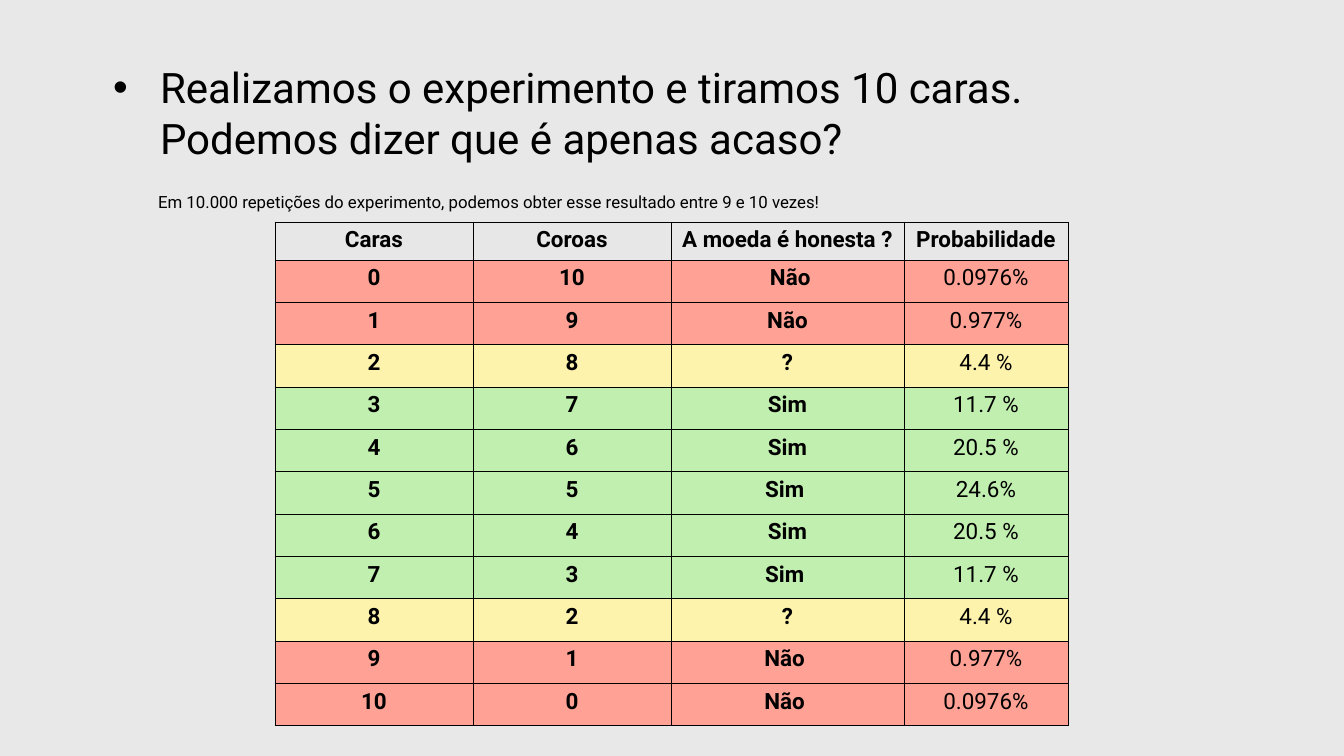
from lxml.etree import SubElement
from pptx import Presentation
from pptx.dml.color import RGBColor
from pptx.enum.shapes import MSO_SHAPE
from pptx.enum.text import MSO_ANCHOR, PP_ALIGN
from pptx.oxml import parse_xml
from pptx.oxml.ns import nsdecls, qn
from pptx.util import Pt

EMU_PER_PX = 914400 / 50.4
FONT = "Roboto"
BLACK = RGBColor(0x00, 0x00, 0x00)
BACKDROP = RGBColor(0xE8, 0xE8, 0xE8)
HEADER = RGBColor(0xE7, 0xE7, 0xE7)
RED = RGBColor(0xFF, 0xA2, 0x95)
YELLOW = RGBColor(0xFD, 0xF3, 0xAD)
GREEN = RGBColor(0xC0, 0xEF, 0xAF)

COLUMN_WIDTHS = (198, 198, 233, 164)
HEADER_HEIGHT = 38
BODY_HEIGHT = 466
HEADINGS = ("Caras", "Coroas", "A moeda é honesta ?", "Probabilidade")
# Verdict, probability and colour for 0 to 10 heads
OUTCOMES = (
    (" Não", "0.0976%", RED),
    (" Não ", "0.977%", RED),
    ("?", "4.4 %", YELLOW),
    ("Sim", "11.7 %", GREEN),
    ("Sim", "20.5 %", GREEN),
    ("Sim ", "24.6%", GREEN),
    ("Sim", "20.5 %", GREEN),
    ("Sim ", "11.7 %", GREEN),
    ("?", "4.4 %", YELLOW),
    ("Não ", "0.977%", RED),
    ("Não ", "0.0976%", RED),
)


def px(length):
    return round(length * EMU_PER_PX)


def add_run(paragraph, text, size, bold=False):
    run = paragraph.add_run()
    run.text = text
    run.font.name = FONT
    run.font.size = Pt(size)
    run.font.bold = bold
    run.font.color.rgb = BLACK


def indent(paragraph, left, first=0):
    properties = paragraph._p.get_or_add_pPr()
    properties.set("marL", str(px(left)))
    properties.set("indent", str(px(first)))
    return properties


def add_backdrop(slide):
    backdrop = slide.shapes.add_shape(
        MSO_SHAPE.RECTANGLE, px(-2), px(-2), px(1383), px(769))
    backdrop.shadow.inherit = False
    backdrop.fill.solid()
    backdrop.fill.fore_color.rgb = BACKDROP
    backdrop.line.fill.background()


def add_question(slide):
    frame = slide.shapes.add_textbox(px(110), px(59), px(1066), px(158)).text_frame
    frame.word_wrap = True
    frame.margin_left = frame.margin_right = px(3)
    frame.margin_top = frame.margin_bottom = px(3)

    # Bulleted question
    question = frame.paragraphs[0]
    properties = indent(question, 47, -47)
    SubElement(properties, qn("a:buFont"), typeface="Arial")
    SubElement(properties, qn("a:buChar"), char="•")
    add_run(question, "Realizamos o experimento e tiramos 10 caras. "
                      "Podemos dizer que é apenas acaso?", 60)

    # Remark under it
    remark = frame.add_paragraph()
    indent(remark, 45)
    remark.space_before = Pt(41)
    add_run(remark, "Em 10.000 repetições do experimento, podemos obter "
                    "esse resultado entre 9 e 10 vezes!", 24)


def add_borders(cell):
    properties = cell._tc.get_or_add_tcPr()
    for position, side in enumerate(("lnL", "lnR", "lnT", "lnB")):
        properties.insert(position, parse_xml(
            f'<a:{side} {nsdecls("a")} w="{Pt(1)}"><a:solidFill>'
            f'<a:srgbClr val="{BLACK}"/></a:solidFill></a:{side}>'))


def fill_cell(cell, text, color, bold):
    cell.margin_left = cell.margin_right = px(5)
    cell.margin_top = cell.margin_bottom = px(5)
    cell.vertical_anchor = MSO_ANCHOR.TOP
    cell.fill.solid()
    cell.fill.fore_color.rgb = color
    add_borders(cell)
    paragraph = cell.text_frame.paragraphs[0]
    paragraph.alignment = PP_ALIGN.CENTER
    add_run(paragraph, text, 32, bold)


def add_probability_table(slide):
    tosses = len(OUTCOMES) - 1
    table = slide.shapes.add_table(
        len(OUTCOMES) + 1, len(HEADINGS), px(275), px(222),
        px(sum(COLUMN_WIDTHS)), px(HEADER_HEIGHT + BODY_HEIGHT)).table
    table.first_row = table.horz_banding = False
    for column, width in zip(table.columns, COLUMN_WIDTHS):
        column.width = px(width)
    for row in table.rows:
        row.height = px(BODY_HEIGHT / len(OUTCOMES))
    table.rows[0].height = px(HEADER_HEIGHT)

    # Header row
    for column, heading in enumerate(HEADINGS):
        fill_cell(table.cell(0, column), heading, HEADER, True)

    # One row per number of heads
    for heads, (verdict, probability, color) in enumerate(OUTCOMES):
        values = (str(heads), str(tosses - heads), verdict, probability)
        for column, value in enumerate(values):
            fill_cell(table.cell(heads + 1, column), value, color,
                      bold=value != probability)


def main():
    presentation = Presentation()
    presentation.slide_width = px(1344)
    presentation.slide_height = px(756)
    slide = presentation.slides.add_slide(presentation.slide_layouts[6])
    add_backdrop(slide)
    add_question(slide)
    add_probability_table(slide)
    presentation.save("out.pptx")


if __name__ == "__main__":
    main()
